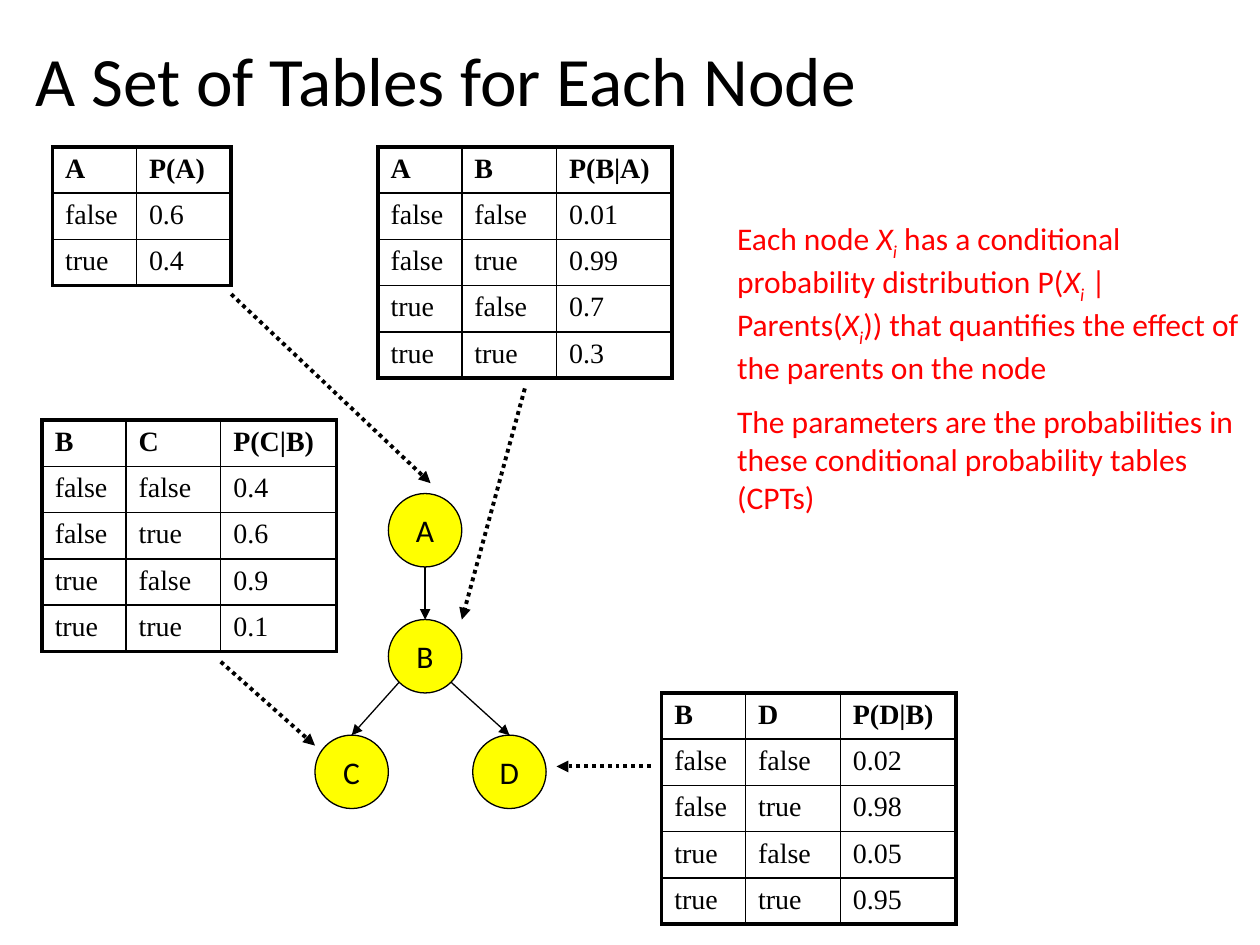
from math import sqrt

from lxml.etree import SubElement
from pptx import Presentation
from pptx.dml.color import RGBColor
from pptx.enum.dml import MSO_LINE_DASH_STYLE as Dash
from pptx.enum.shapes import MSO_CONNECTOR as Connector, MSO_SHAPE as Shape
from pptx.enum.text import MSO_ANCHOR as Anchor, MSO_AUTO_SIZE as AutoSize, PP_ALIGN as Align
from pptx.oxml.ns import qn
from pptx.util import Cm, Pt

COLORS = {"ink": "000000", "node": "FFFF00", "note": "FF0000"}
BODY_FONT, TABLE_FONT = "Calibri", "Times New Roman"
COLUMN_WIDTHS = (1.69, 1.91, 2.33)
ROW_HEIGHT = 0.93
NODE_SIZE = 1.48

JOINT = [("false", "false"), ("false", "true"), ("true", "false"), ("true", "true")]
EXPLANATION = [
    [("Each node ", ""), ("X", "i"), ("i", "sub"),
     (" has a conditional probability distribution P(", ""), ("X", "i"), ("i", "sub"),
     (" | Parents(", ""), ("X", "i"), ("i", "sub"),
     (")) that quantifies the effect of the parents on the node", "")],
    [("The parameters are the probabilities in these conditional "
      "probability tables (CPTs)", "")],
]


def rgb(name):
    """Return the named palette colour."""
    return RGBColor.from_string(COLORS[name])


def style_font(font, size, color="ink", family=BODY_FONT, bold=False):
    """Set the face, size, colour and weight of a font."""
    font.name, font.size, font.bold = family, Pt(size), bold
    font.color.rgb = rgb(color)


def add_title(slide, box, wording):
    """Fill the title placeholder and move it to the box."""
    title = slide.shapes.title
    title.left, title.top, title.width, title.height = map(Cm, box)
    frame = title.text_frame
    frame.text = wording
    frame.auto_size = AutoSize.NONE
    frame.vertical_anchor = Anchor.MIDDLE
    heading = frame.paragraphs[0]
    heading.alignment = Align.CENTER
    style_font(heading.runs[0].font, 39.6)


def add_explanation(slide, box):
    """Write the explanation, with italic and subscript runs, in the box."""
    frame = slide.shapes.add_textbox(*map(Cm, box)).text_frame
    frame.word_wrap = True
    for index, pieces in enumerate(EXPLANATION):
        paragraph = frame.add_paragraph() if index else frame.paragraphs[0]
        paragraph.space_before = Pt(9)
        for wording, style in pieces:
            run = paragraph.add_run()
            run.text = wording
            style_font(run.font, 18, "note")
            run.font.italic = bool(style)
            if style == "sub":
                run.font._element.set("baseline", "-25000")


def set_border(cell, side, width):
    """Draw one side (L, R, T or B) of a cell."""
    border = SubElement(cell._tc.get_or_add_tcPr(), qn(f"a:ln{side}"), w=str(Pt(width)))
    fill = SubElement(border, qn("a:solidFill"))
    SubElement(fill, qn("a:srgbClr"), val=COLORS["ink"])


def add_probability_table(slide, left, top, header, rows):
    """Place a probability table with a heavy outer frame at left, top."""
    content = [header, *rows]
    widths = (COLUMN_WIDTHS[0], *COLUMN_WIDTHS[1:len(header)])
    row_count, column_count = len(content), len(header)
    table = slide.shapes.add_table(
        row_count, column_count, Cm(left), Cm(top),
        Cm(sum(widths)), Cm(row_count * ROW_HEIGHT)).table
    table.first_row = table.horz_banding = False
    for column, width in zip(table.columns, widths):
        column.width = Cm(width)
    for r, values in enumerate(content):
        table.rows[r].height = Cm(ROW_HEIGHT)
        for c, value in enumerate(values):
            cell = table.cell(r, c)
            cell.text = value
            style_font(cell.text_frame.paragraphs[0].runs[0].font, 16,
                       family=TABLE_FONT, bold=r == 0)
            outer = {"L": c == 0, "R": c == column_count - 1,
                     "T": r == 0, "B": r == row_count - 1}
            for side, is_outer in outer.items():
                set_border(cell, side, 2.25 if is_outer else 1)
            cell.fill.background()


def add_arrow(slide, start, end, dotted=False):
    """Draw an arrow, thin and solid or heavy and dotted."""
    arrow = slide.shapes.add_connector(Connector.STRAIGHT, *map(Cm, (*start, *end)))
    arrow.line.color.rgb = rgb("ink")
    arrow.line.width = Pt(2.25 if dotted else 0.75)
    if dotted:
        arrow.line.dash_style = Dash.ROUND_DOT
    SubElement(arrow.line._get_or_add_ln(), qn("a:tailEnd"), type="triangle")
    SubElement(arrow._element.spPr, qn("a:effectLst"))


def add_node(slide, left, top, label):
    """Place a labelled network node at left, top."""
    node = slide.shapes.add_shape(Shape.OVAL, *map(Cm, (left, top, NODE_SIZE, NODE_SIZE)))
    node.shadow.inherit = False
    node.fill.solid()
    node.fill.fore_color.rgb = rgb("node")
    node.line.color.rgb = rgb("ink")
    node.line.width = Pt(0.75)
    frame = node.text_frame
    frame.text = label
    frame.word_wrap = False
    frame.vertical_anchor = Anchor.MIDDLE
    frame.paragraphs[0].alignment = Align.CENTER
    style_font(frame.paragraphs[0].runs[0].font, 18)


def add_network(slide, left, top):
    """Draw the network of four nodes, its upper left corner at left, top."""
    offsets = {"A": (1.48, 0), "B": (1.48, 2.54), "C": (0, 4.87), "D": (3.18, 4.87)}
    centers = {}
    radius = NODE_SIZE / 2
    for label, (dx, dy) in offsets.items():
        add_node(slide, left + dx, top + dy, label)
        centers[label] = (left + dx + radius, top + dy + radius)
    diagonal = radius / sqrt(2)
    for parent, child, dx, dy in [("A", "B", 0, radius),
                                  ("B", "C", -diagonal, diagonal),
                                  ("B", "D", diagonal, diagonal)]:
        (x, y), (child_x, child_y) = centers[parent], centers[child]
        add_arrow(slide, (x + dx, y + dy), (child_x, child_y - radius))


def build_slide(deck):
    """Build the slide of conditional probability tables."""
    slide = deck.slides.add_slide(deck.slide_layouts[5])
    add_title(slide, (0.21, 0.42, 17.57, 2.33), "A Set of Tables for Each Node")
    add_explanation(slide, (14.61, 4.3, 10.79, 9.88))
    add_probability_table(slide, 1.06, 2.96, ("A", "P(A)"),
                          [("false", "0.6"), ("true", "0.4")])
    for left, top, parent, child, chances in [
            (7.62, 2.96, "A", "B", ("0.01", "0.99", "0.7", "0.3")),
            (0.85, 8.47, "B", "C", ("0.4", "0.6", "0.9", "0.1")),
            (13.34, 13.97, "B", "D", ("0.02", "0.98", "0.05", "0.95"))]:
        rows = [(*states, chance) for states, chance in zip(JOINT, chances)]
        add_probability_table(slide, left, top, (parent, child, f"P({child}|{parent})"), rows)
    add_network(slide, 6.35, 9.95)
    for start, end in [((4.66, 5.93), (8.68, 9.74)), ((10.58, 7.83), (9.31, 12.49)),
                       ((13.12, 15.45), (11.22, 15.45)), ((4.45, 13.34), (6.35, 15.03))]:
        add_arrow(slide, start, end, dotted=True)


deck = Presentation()
deck.slide_width, deck.slide_height = Cm(25.4), Cm(19.05)
build_slide(deck)
deck.save("out.pptx")
